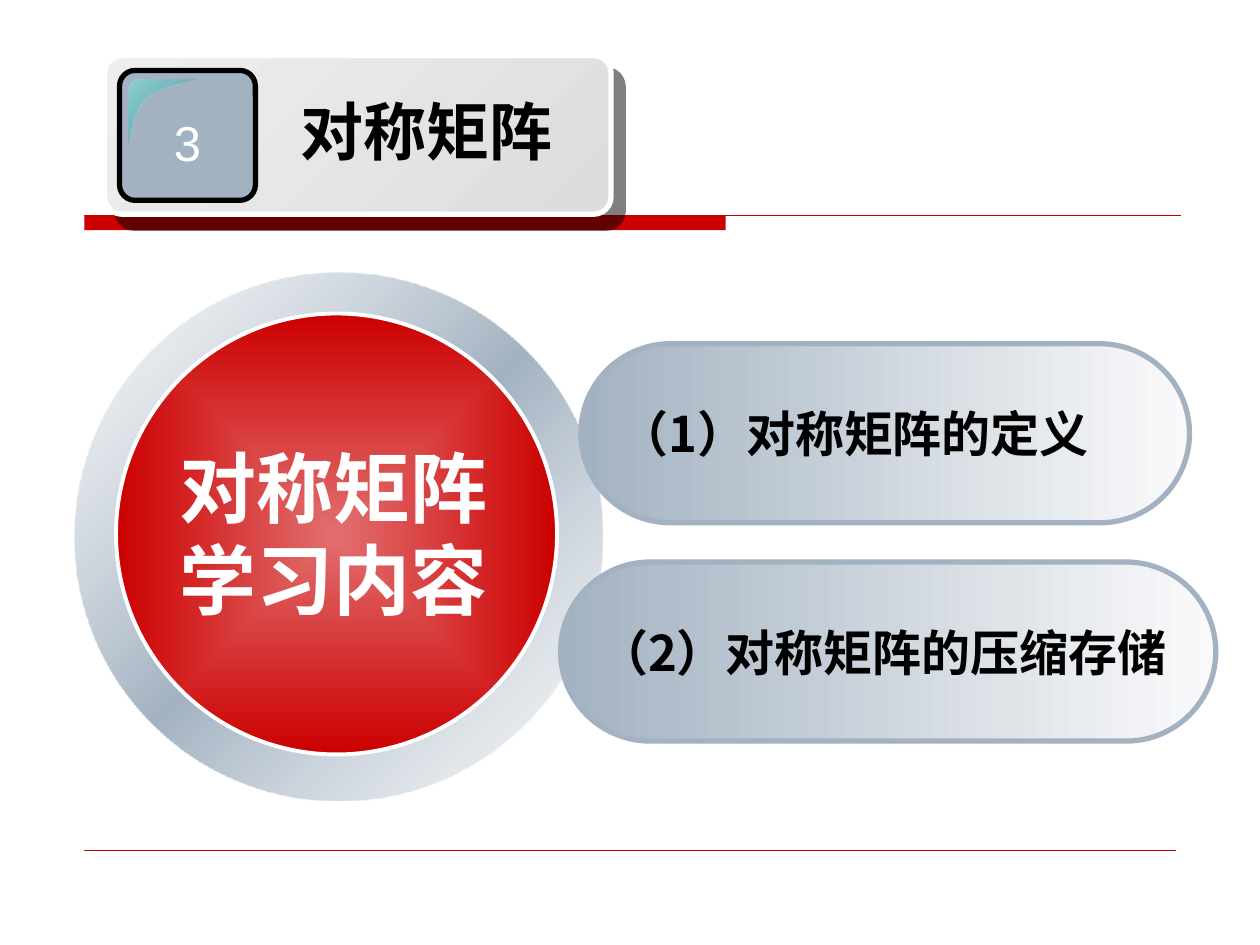
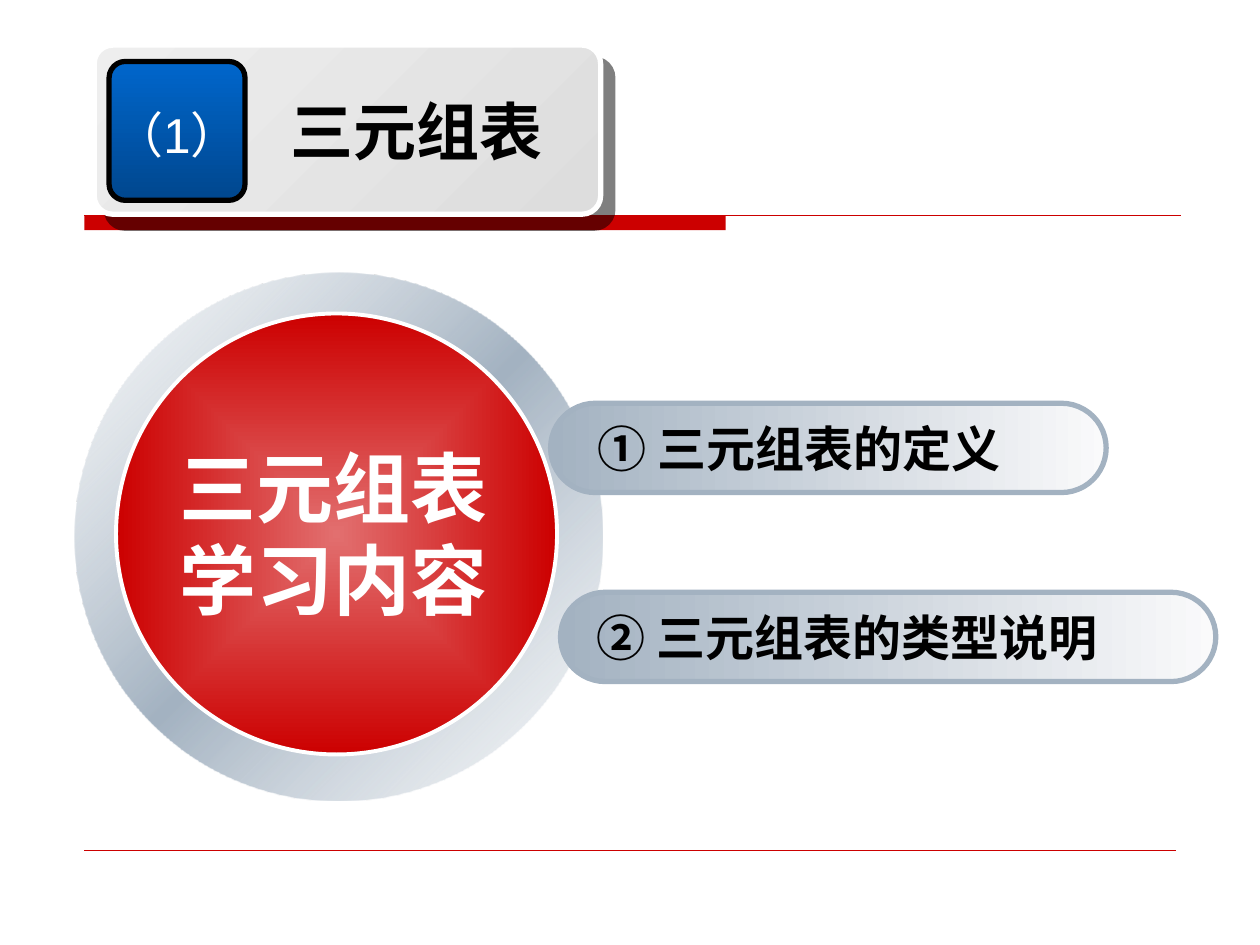
from pptx import Presentation
from pptx.dml.color import RGBColor
from pptx.enum import shapes as sh, text as tx
from pptx.oxml import parse_xml
from pptx.oxml.ns import nsdecls
from pptx.util import Cm, Pt

RED, STEEL, WHITE, BLACK = "CC0000", "A3B2C1", "FFFFFF", "000000"
MIST = "C7D0D9"
NS = nsdecls("a")
SHADOW = ('<a:outerShdw %s blurRad="0" dist="%d" dir="%d" algn="tl" rotWithShape="0">'
          '<a:srgbClr val="000000"><a:alpha val="%d"/></a:srgbClr></a:outerShdw>')


def paint(shape, stops, ang=None, line=None, width=3):
    """Fill with (position, hex, opacity) stops; without an angle they spread from the centre."""
    shape.shadow.inherit = False
    if len(stops) == 1:
        shape.fill.solid()
        shape.fill.fore_color.rgb = RGBColor.from_string(stops[0][1])
    else:
        shape.fill.gradient()
        old = shape._element.spPr.find(".//{*}gradFill")
        marks = "".join(
            f'<a:gs pos="{pos * 1000}"><a:srgbClr val="{hue}"><a:alpha val="{alpha * 1000}"/>'
            "</a:srgbClr></a:gs>" for pos, hue, alpha in stops)
        way = (f'<a:lin ang="{ang * 60000}" scaled="1"/>' if ang is not None else
               '<a:path path="rect"><a:fillToRect l="50000" t="50000" r="50000" b="50000"/></a:path>')
        new = f'<a:gradFill {NS} rotWithShape="1"><a:gsLst>{marks}</a:gsLst>{way}</a:gradFill>'
        old.getparent().replace(old, parse_xml(new))
    if line:
        shape.line.color.rgb = RGBColor.from_string(line)
        shape.line.width = Pt(width)
    else:
        shape.line.fill.background()


def write(shape, words, size, hue, font="Arial", bold=True, align=tx.PP_ALIGN.CENTER, wrap=True):
    frame = shape.text_frame
    frame.text = words
    frame.word_wrap = wrap
    frame.auto_size = tx.MSO_AUTO_SIZE.NONE
    frame.vertical_anchor = tx.MSO_ANCHOR.MIDDLE
    para = frame.paragraphs[0]
    para.alignment = align
    para.font.size, para.font.bold, para.font.name = Pt(size), bold, font
    para.font.color.rgb = RGBColor.from_string(hue)
    para.font._element.append(parse_xml(f'<a:ea {NS} typeface="Noto Sans CJK SC"/>'))
    return para


# Pills: left, top, width, left margin, text
pages = [
    dict(title="对称矩阵", num="3", left=2.11, top=1.12, gap=0.3, drop=0.26,
         badge=[(0, STEEL, 100)], ang=None, leaf=True, high=3.61,
         pills=[(11.71, 6.93, 12.27, 0.25, "（1）对称矩阵的定义"),
                (11.3, 11.33, 13.21, 0.25, "（2）对称矩阵的压缩存储")]),
    dict(title="三元组表", num="（1）", left=1.9, top=0.91, gap=0.33, drop=0.12,
         badge=[(0, "0066CC", 100), (100, "00478E", 100)], ang=90, leaf=False, high=1.8,
         pills=[(11.1, 8.13, 11.2, 0.69, "① 三元组表的定义"),
                (11.3, 11.94, 13.21, 0.47, "② 三元组表的类型说明")]),
]
# Leaf outline: each curve is start, two handles, end
curves = [
    [(2.84, 1.6), (2.69, 1.6), (2.59, 1.7), (2.59, 1.85)],
    [(2.59, 2.87), (2.64, 2.9), (2.62, 2.26), (2.95, 1.98)],
    [(2.95, 1.98), (3.3, 1.68), (3.94, 1.65), (3.94, 1.6)],
]

deck = Presentation()
deck.slide_width, deck.slide_height = Cm(25.4), Cm(19.05)
kind = sh.MSO_SHAPE

for page in pages:
    slide = deck.slides.add_slide(deck.slide_layouts[5])
    items = slide.shapes

    # Red band, head rule and foot rule
    band = items.add_shape(kind.RECTANGLE, Cm(1.7), Cm(4.34), Cm(12.93), Cm(0.3))
    paint(band, [(0, RED, 100)])
    for end, y, width in [(23.8, 4.34, 0.75), (23.7, 17.15, 0.25)]:
        rule = items.add_connector(sh.MSO_CONNECTOR.STRAIGHT, Cm(1.7), Cm(y), Cm(end), Cm(y))
        rule.line.color.rgb = RGBColor.from_string(RED)
        rule.line.width = Pt(width)
        rule._element.spPr.append(parse_xml(f"<a:effectLst {NS}/>"))

    # Ring, disc and topic pills
    ring = items.add_shape(kind.DONUT, Cm(1.5), Cm(5.49), Cm(10.64), Cm(10.64))
    ring.adjustments[0] = 0.09
    paint(ring, [(0, MIST, 12), (50, STEEL, 100), (100, MIST, 12)], 45)
    disc = items.add_shape(kind.OVAL, Cm(2.34), Cm(6.32), Cm(8.89), Cm(8.89))
    paint(disc, [(0, "E26F6F", 100), (100, RED, 100)], None, WHITE, 2.25)
    for left, top, width, inset, words in page["pills"]:
        pill = items.add_shape(kind.ROUNDED_RECTANGLE, Cm(left), Cm(top), Cm(width), Cm(page["high"]))
        pill.adjustments[0] = 0.5
        paint(pill, [(0, STEEL, 100), (100, "FAFAFB", 100)], 0, STEEL)
        write(pill, words, 28, BLACK, "Noto Sans CJK SC", align=tx.PP_ALIGN.LEFT, wrap=False)
        pill.text_frame.margin_left = Cm(inset)

    label = items.add_textbox(Cm(2.9), Cm(8.74), Cm(7.65), Cm(3.99))
    para = write(label, page["title"] + "学习内容", 44, WHITE)
    glow = parse_xml(f"<a:effectLst {NS}/>")
    glow.append(parse_xml(SHADOW % (NS, 25400, 2700000, 100000)))
    para.runs[0].font._element.append(glow)

    # Title card with its number badge
    x, y = page["left"], page["top"]
    card = items.add_shape(kind.ROUNDED_RECTANGLE, Cm(x), Cm(y), Cm(10.21), Cm(4.32 - y))
    card.adjustments[0] = 0.11
    paint(card, [(0, "EEEEEE", 100), (100, "DDDDDD", 100)], 45, WHITE)
    card._element.spPr.find("{*}effectLst").append(parse_xml(SHADOW % (NS, 134620, 2940000, 50000)))
    top = y + page["gap"]
    badge = items.add_shape(kind.ROUNDED_RECTANGLE, Cm(x + 0.3), Cm(top), Cm(2.74), Cm(4.04 - top))
    badge.adjustments[0] = 0.12
    paint(badge, page["badge"], page["ang"], BLACK)
    write(badge, page["num"], 28, WHITE, bold=False, wrap=False)
    badge.text_frame.margin_top, badge.text_frame.margin_bottom = Cm(page["drop"]), 0

    if page["leaf"]:
        dots = []
        for a, b, c, d in curves:
            for t in [i / 12 for i in range(13)]:
                s = 1 - t
                dots.append([100 * (s**3 * a[k] + 3 * s * s * t * b[k] + 3 * s * t * t * c[k] + t**3 * d[k])
                             for k in (0, 1)])
        pen = items.build_freeform(*dots[0], scale=Cm(0.01))
        pen.add_line_segments(dots[1:], close=True)
        paint(pen.convert_to_shape(), [(0, "93D4D4", 100), (100, "009999", 0)], 45)

    title = items.title
    title.left, title.top, title.width, title.height = Cm(x + 3.41), Cm(1.73), Cm(6.17), Cm(1.78)
    write(title, page["title"], 36, BLACK)
    items._spTree.append(title._element)

deck.save("out.pptx")
